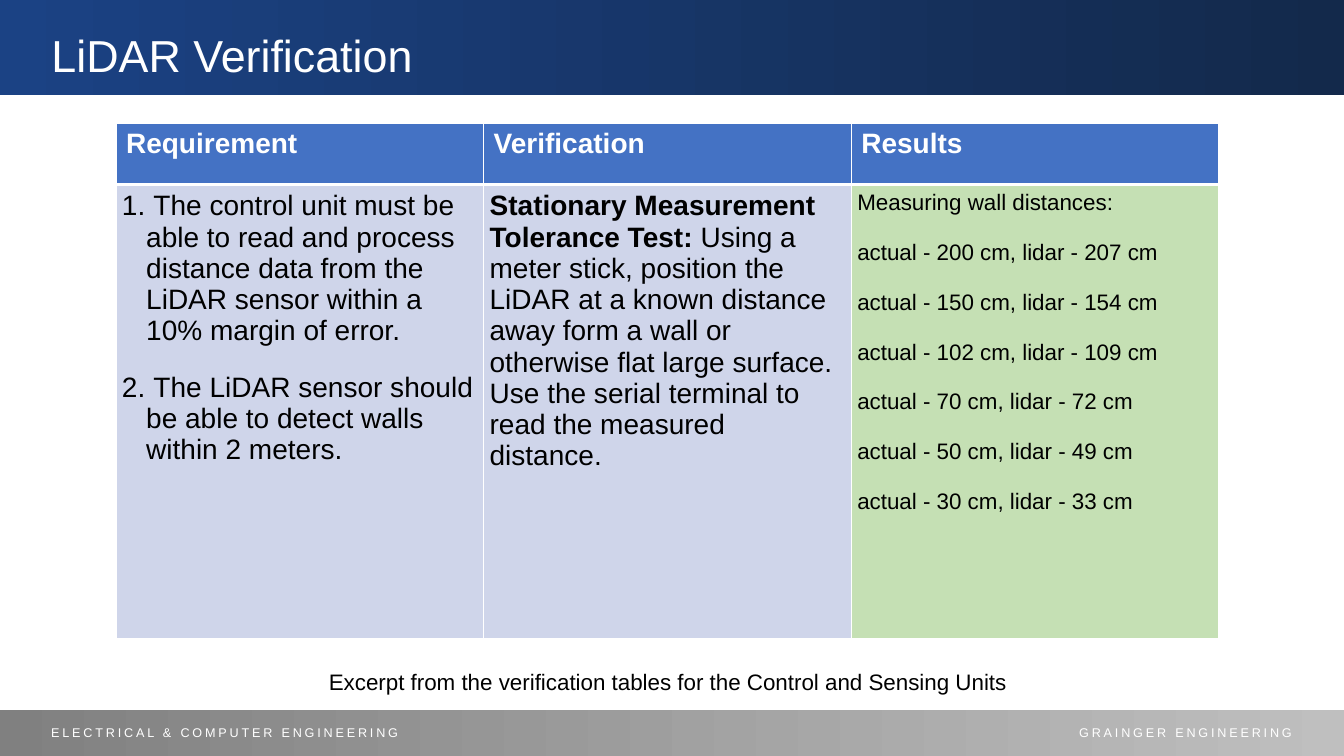
from pptx import Presentation
from pptx.dml.color import RGBColor
from pptx.enum import shapes, text
from pptx.oxml import parse_xml
from pptx.oxml.ns import nsdecls
from pptx.util import Inches, Pt

WHITE = RGBColor(0xFF, 0xFF, 0xFF)
BLACK = RGBColor(0, 0, 0)
NAVY = RGBColor(0x13, 0x29, 0x4B)
BLUE = RGBColor(0x1B, 0x42, 0x84)
GRAY = RGBColor(0x80, 0x80, 0x80)
SILVER = RGBColor(0xBF, 0xBF, 0xBF)
HEADER_BLUE = RGBColor(0x44, 0x72, 0xC4)
PALE_BLUE = RGBColor(0xCF, 0xD5, 0xEA)
PALE_GREEN = RGBColor(0xC5, 0xE0, 0xB4)

LEFT, CENTER, RIGHT = text.PP_ALIGN.LEFT, text.PP_ALIGN.CENTER, text.PP_ALIGN.RIGHT

TITLE = "LiDAR Verification"
BANDS = [
    ((0, 7.04, 13.33, 0.46), (GRAY, SILVER)),
    ((0, -0.01, 13.33, 0.95), (BLUE, NAVY)),
]
LABELS = [
    ("Excerpt from the verification tables for the Control and Sensing Units",
     (0.61, 6.58, 12.03, 0.46), CENTER, 16, BLACK, 0),
    ("GRAINGER ENGINEERING", (10.21, 7.14, 2.7, 0.25), RIGHT, 9, WHITE, 200),
    ("ELECTRICAL & COMPUTER ENGINEERING", (0.41, 7.14, 8.74, 0.25), LEFT, 9, WHITE, 200),
]
HEADINGS = ["Requirement", "Verification", "Results"]
REQUIREMENTS = [
    (" The control unit must be able to read and process distance data from the "
     "LiDAR sensor within a 10% margin of error.", 18),
    (" The LiDAR sensor should be able to detect walls within 2 meters.", 15),
]
TEST_NAME = "Stationary Measurement Tolerance Test: "
TEST_STEPS = ("Using a meter stick, position the LiDAR at a known distance away form a wall "
              "or otherwise flat large surface. Use the serial terminal to read the "
              "measured distance.")
RESULTS_INTRO = "Measuring wall distances:"
DISTANCES = [(200, 207), (150, 154), (102, 109), (70, 72), (50, 49), (30, 33)]

TABLE_BOX = (1.15, 1.22, 10.94, 5.12)
ROW_HEIGHTS = (0.61, 4.51)
BODY_MARGIN = 0.06
HANG = 0.24


def write(paragraph, words, size, color, bold=False):
    run = paragraph.add_run()
    run.text = words
    font_format = {"name": "Arial", "size": Pt(size), "bold": bold}
    for key, value in font_format.items():
        setattr(run.font, key, value)
    run.font.color.rgb = color
    return run


def set_borders(cell, widths):
    for side, width in zip("LRTB", widths):
        cell._tc.get_or_add_tcPr().append(parse_xml(
            f'<a:ln{side} {nsdecls("a")} w="{Pt(width)}"><a:solidFill>'
            f'<a:srgbClr val="{WHITE}"/></a:solidFill></a:ln{side}>'))


def fill_cell(cell, color, widths):
    set_borders(cell, widths)
    cell.fill.solid()
    cell.fill.fore_color.rgb = color


def number(paragraph, start):
    props = paragraph._p.get_or_add_pPr()
    props.set("marL", str(Inches(HANG)))
    props.set("indent", str(-Inches(HANG)))
    for tag in (f'<a:buClr {nsdecls("a")}><a:srgbClr val="{BLACK}"/></a:buClr>',
                f'<a:buAutoNum {nsdecls("a")} type="arabicPeriod" startAt="{start}"/>'):
        props.append(parse_xml(tag))


def paragraph_at(frame, index):
    return frame.add_paragraph() if index else frame.paragraphs[0]


def add_band(slide, box, colors):
    band = slide.shapes.add_shape(shapes.MSO_SHAPE.RECTANGLE, *map(Inches, box))
    band.shadow.inherit = False
    band.line.fill.background()
    band.fill.gradient()
    band.fill.gradient_angle = 0
    for stop, color in zip(band.fill.gradient_stops, colors):
        stop.color.rgb = color


def add_label(slide, words, box, align, size, color, tracking):
    frame = slide.shapes.add_textbox(*map(Inches, box)).text_frame
    frame.word_wrap = True
    frame.paragraphs[0].alignment = align
    run = write(frame.paragraphs[0], words, size, color)
    if tracking:
        run.font._element.set("spc", str(tracking))


def place_title(slide):
    title = slide.shapes.title
    title.left, title.top, title.width, title.height = map(Inches, (0.41, 0.22, 11.93, 0.64))
    frame_format = {"vertical_anchor": text.MSO_ANCHOR.TOP, "word_wrap": True,
                    "auto_size": text.MSO_AUTO_SIZE.NONE}
    for key, value in frame_format.items():
        setattr(title.text_frame, key, value)
    heading = title.text_frame.paragraphs[0]
    heading.alignment = LEFT
    write(heading, TITLE, 32, WHITE)
    title._element.getparent().append(title._element)


def add_verification_table(slide):
    table = slide.shapes.add_table(2, len(HEADINGS), *map(Inches, TABLE_BOX)).table
    table.horz_banding = False
    for row, height in zip(table.rows, ROW_HEIGHTS):
        row.height = Inches(height)
    for column, heading in enumerate(HEADINGS):
        cell = table.cell(0, column)
        fill_cell(cell, HEADER_BLUE, (1, 1, 1, 3))
        write(cell.text_frame.paragraphs[0], heading, 20, WHITE, True)

    body = [table.cell(1, column) for column in range(len(HEADINGS))]
    for cell, color in zip(body, (PALE_BLUE, PALE_BLUE, PALE_GREEN)):
        fill_cell(cell, color, (1, 1, 3, 1))
        for side in ("left", "top", "right", "bottom"):
            setattr(cell, f"margin_{side}", Inches(BODY_MARGIN))
    requirement, verification, results = (cell.text_frame for cell in body)

    for index, (words, gap) in enumerate(REQUIREMENTS):
        item = paragraph_at(requirement, index)
        number(item, index + 1)
        item.space_after = Pt(gap)
        write(item, words, 20, BLACK)

    test = verification.paragraphs[0]
    write(test, TEST_NAME, 20, BLACK, True)
    write(test, TEST_STEPS, 20, BLACK)

    readings = [f"actual - {actual} cm, lidar - {lidar} cm" for actual, lidar in DISTANCES]
    for index, words in enumerate([RESULTS_INTRO, *readings]):
        reading = paragraph_at(results, index)
        if index:
            reading.space_before = Pt(17.8)
        write(reading, words, 16, BLACK)


def main():
    deck = Presentation()
    deck.slide_width, deck.slide_height = Inches(13.33), Inches(7.5)
    slide = deck.slides.add_slide(deck.slide_layouts[5])
    for band in BANDS:
        add_band(slide, *band)
    for label in LABELS:
        add_label(slide, *label)
    place_title(slide)
    add_verification_table(slide)
    deck.save("out.pptx")


if __name__ == "__main__":
    main()
